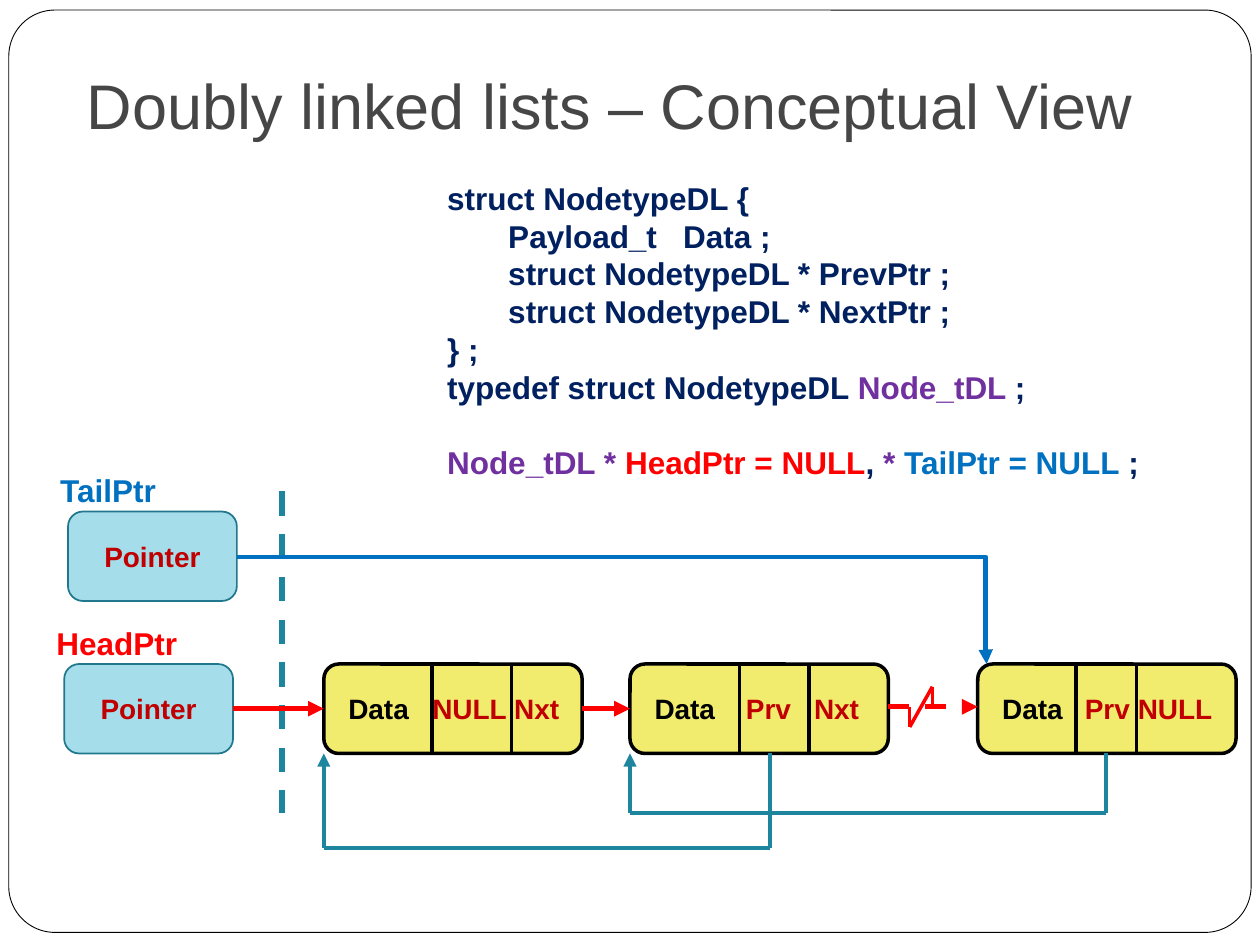
from dataclasses import dataclass
from itertools import pairwise

from lxml.etree import SubElement
from pptx import Presentation
from pptx.dml.color import RGBColor as Color
from pptx.enum.dml import MSO_LINE as Dash
from pptx.enum.shapes import MSO_CONNECTOR as Connector, MSO_SHAPE as Preset
from pptx.enum.text import MSO_ANCHOR as Anchor, PP_ALIGN as Align
from pptx.oxml.ns import qn
from pptx.util import Inches, Pt


@dataclass(frozen=True)
class Theme:
    """Colours, font and type sizes of the slide."""
    font: str = "Arial"
    title_size: int = 36
    code_size: int = 18
    box_size: int = 16
    code_pitch: float = 21.6
    white: str = "FFFFFF"
    black: str = "000000"
    title: str = "464646"
    code: str = "002060"
    type_name: str = "7030A0"
    head: str = "FF0000"
    tail: str = "0070C0"
    field: str = "C00000"
    pointer: str = "A6DDEA"
    pointer_edge: str = "21788D"
    node: str = "F2EC6E"
    previous: str = "1E859F"


THEME = Theme()
BOX_HEIGHT, POINTER_WIDTH, NODE_WIDTH = 7.1, 13.4, 20.5
NODE_TOP, TAIL_TOP = 52.7, 40.6
NODE_BOTTOM, NODE_MIDDLE = NODE_TOP + BOX_HEIGHT, NODE_TOP + BOX_HEIGHT / 2
TEXT_START, CORNER_INSET = 1.94, 0.34
NODES = [
    (25.7, (8.6, 14.9), (8.6, 15.1), ("NULL", "Nxt")),
    (50, (8.7, 14.2), (9.2, 14.6), ("Prv", "Nxt")),
    (77.6, (7.8, 12.6), (8.5, 12.7), ("Prv", "NULL")),
]
CODE = [
    [("struct NodetypeDL {", THEME.code)],
    [("       Payload_t   Data ;", THEME.code)],
    [("       struct NodetypeDL * PrevPtr ;", THEME.code)],
    [("       struct NodetypeDL * NextPtr ;", THEME.code)],
    [("} ;", THEME.code)],
    [("typedef struct NodetypeDL ", THEME.code), ("Node_tDL ", THEME.type_name), (";", THEME.code)],
    [("Node_tDL * ", THEME.type_name), ("HeadPtr = NULL", THEME.head), (", ", THEME.code),
     ("* ", THEME.type_name), ("TailPtr = NULL", THEME.tail), (" ;", THEME.code)],
]


def cells(*counts):
    """Turn counts of grid cells, a hundred to the slide's width, into lengths."""
    return [Inches(count / 10) for count in counts]


def apply(target, **formats):
    """Set each given format value on the target."""
    for name, value in formats.items():
        setattr(target, name, value)


def add_run(paragraph, text, color, size, bold=True):
    """Add one formatted run to a paragraph."""
    run = paragraph.add_run()
    run.text = text
    apply(run.font, name=THEME.font, size=Pt(size), bold=bold)
    run.font.color.rgb = Color.from_string(color)


def add_box(slide, place, fill, edge, weight):
    """Add a filled rounded box."""
    shape = slide.shapes.add_shape(Preset.ROUNDED_RECTANGLE, *cells(*place))
    shape.shadow.inherit = False
    shape.fill.solid()
    shape.fill.fore_color.rgb = Color.from_string(fill)
    shape.line.color.rgb = Color.from_string(edge)
    shape.line.width = Pt(weight)
    return shape


def add_line(slide, start, end, color, weight, dashed=False, arrow=False, bend=None):
    """Add a straight or bent connector with an optional arrowhead."""
    kind = Connector.STRAIGHT if bend is None else Connector.ELBOW
    connector = slide.shapes.add_connector(kind, *cells(*start, *end))
    connector.line.color.rgb = Color.from_string(color)
    connector.line.width = Pt(weight)
    if dashed:
        connector.line.dash_style = Dash.DASH
    properties = connector._element.spPr
    if arrow:
        SubElement(properties.find(qn("a:ln")), qn("a:tailEnd"), type="triangle")
    if bend is not None:
        guides = properties.find(qn("a:prstGeom")).get_or_add_avLst()
        SubElement(guides, qn("a:gd"), name="adj1", fmla=f"val {bend}")
    SubElement(properties, qn("a:effectLst"))


def add_path(slide, points, color, weight):
    """Add a chain of lines that ends in an arrowhead."""
    for start, end in pairwise(points):
        add_line(slide, start, end, color, weight, arrow=end == points[-1])


def add_text(slide, place, lines):
    """Add a text box of coloured lines and return its paragraphs."""
    frame = slide.shapes.add_textbox(*cells(*place)).text_frame
    frame.word_wrap = True
    for index, runs in enumerate(lines):
        paragraph = frame.add_paragraph() if index else frame.paragraphs[0]
        for text, color in runs:
            add_run(paragraph, text, color, THEME.code_size)
    return frame.paragraphs


def add_pointer(slide, left, top, label, label_left, color):
    """Add a pointer box with its name above it."""
    box = add_box(slide, (left, top, POINTER_WIDTH, BOX_HEIGHT), THEME.pointer, THEME.pointer_edge, 1)
    paragraph = box.text_frame.paragraphs[0]
    box.text_frame.vertical_anchor = Anchor.MIDDLE
    paragraph.alignment = Align.CENTER
    add_run(paragraph, "Pointer", THEME.field, THEME.box_size)
    add_text(slide, (label_left, top - 3.7, 12.6, 4), [[(label, color)]])


def add_node(slide, left, dividers, stops, fields):
    """Add a list node with its data and two link fields."""
    box = add_box(slide, (left, NODE_TOP, NODE_WIDTH, BOX_HEIGHT), THEME.node, THEME.black, 2)
    frame = box.text_frame
    inset, = cells(TEXT_START - CORNER_INSET)
    apply(frame, vertical_anchor=Anchor.MIDDLE, margin_left=inset, margin_right=0)
    paragraph = frame.paragraphs[0]
    paragraph.alignment = Align.LEFT
    tabs = SubElement(paragraph._p.get_or_add_pPr(), qn("a:tabLst"))
    for position in cells(*(stop - TEXT_START for stop in stops)):
        SubElement(tabs, qn("a:tab"), pos=str(position), algn="l")
    add_run(paragraph, "Data", THEME.black, THEME.box_size)
    add_run(paragraph, "".join(f"\t{field}" for field in fields), THEME.field, THEME.box_size)
    for offset in dividers:
        add_line(slide, (left + offset, NODE_TOP), (left + offset, NODE_BOTTOM), THEME.black, 2)


def add_gap(slide, start, end):
    """Add a broken link that stands for the nodes left out."""
    level, left, right = 56.1, 72.2, 74
    add_line(slide, (start, level), (end, level), THEME.head, 3, dashed=True, arrow=True)
    zigzag = [(left, level), (left, level + 1.6), (right, level - 1.6), (right, level)]
    for first, second in pairwise(zigzag):
        add_line(slide, first, second, THEME.head, 2)


def add_title(slide, text):
    """Fill the title placeholder and bring it to the front."""
    title = slide.shapes.title
    left, top, width, height = cells(5.9, 3, 89.1, 9.3)
    apply(title, left=left, top=top, width=width, height=height)
    apply(title.text_frame, vertical_anchor=Anchor.BOTTOM, margin_bottom=Inches(0.1))
    paragraph = title.text_frame.paragraphs[0]
    paragraph.alignment = Align.LEFT
    add_run(paragraph, text, THEME.title, THEME.title_size, bold=False)
    slide.shapes._spTree.append(title._element)


def main():
    """Build the slide and save it."""
    presentation = Presentation()
    apply(presentation, slide_width=Inches(10), slide_height=Inches(7.5))
    slide = presentation.slides.add_slide(presentation.slide_layouts[5])
    frame = add_box(slide, (0.7, 0.8, 98.6, 73.2), THEME.white, THEME.black, 0.5)
    frame.adjustments[0] = 0.05

    paragraphs = add_text(slide, (34.5, 13.7, 58.8, 25.2), CODE)
    for paragraph in paragraphs:
        paragraph.line_spacing = Pt(THEME.code_pitch)
    paragraphs[-1].space_before = Pt(THEME.code_pitch)

    add_line(slide, (22.4, 39), (22.4, 64.5), THEME.previous, 3.5, dashed=True)
    add_pointer(slide, 5.1, NODE_TOP, "HeadPtr", 3.5, THEME.head)
    add_pointer(slide, 5.4, TAIL_TOP, "TailPtr", 3.8, THEME.tail)
    for node in NODES:
        add_node(slide, *node)

    first, second, last = (node[0] for node in NODES)
    for start, end in ((5.1 + POINTER_WIDTH, first), (first + NODE_WIDTH, second)):
        add_line(slide, (start, NODE_MIDDLE), (end, NODE_MIDDLE), THEME.head, 3, arrow=True)
    add_gap(slide, second + NODE_WIDTH, last)
    add_line(slide, (5.4 + POINTER_WIDTH, TAIL_TOP + 3.6), (78.3, NODE_TOP), THEME.tail, 2.75,
             arrow=True, bend=99900)
    for start, end, depth in ((87.8, second, 64.5), (61.1, first, 67.3)):
        path = [(start, NODE_BOTTOM), (start, depth), (end, depth), (end, NODE_BOTTOM)]
        add_path(slide, path, THEME.previous, 2.5)

    add_title(slide, "Doubly linked lists – Conceptual View")
    presentation.save("out.pptx")


if __name__ == "__main__":
    main()
